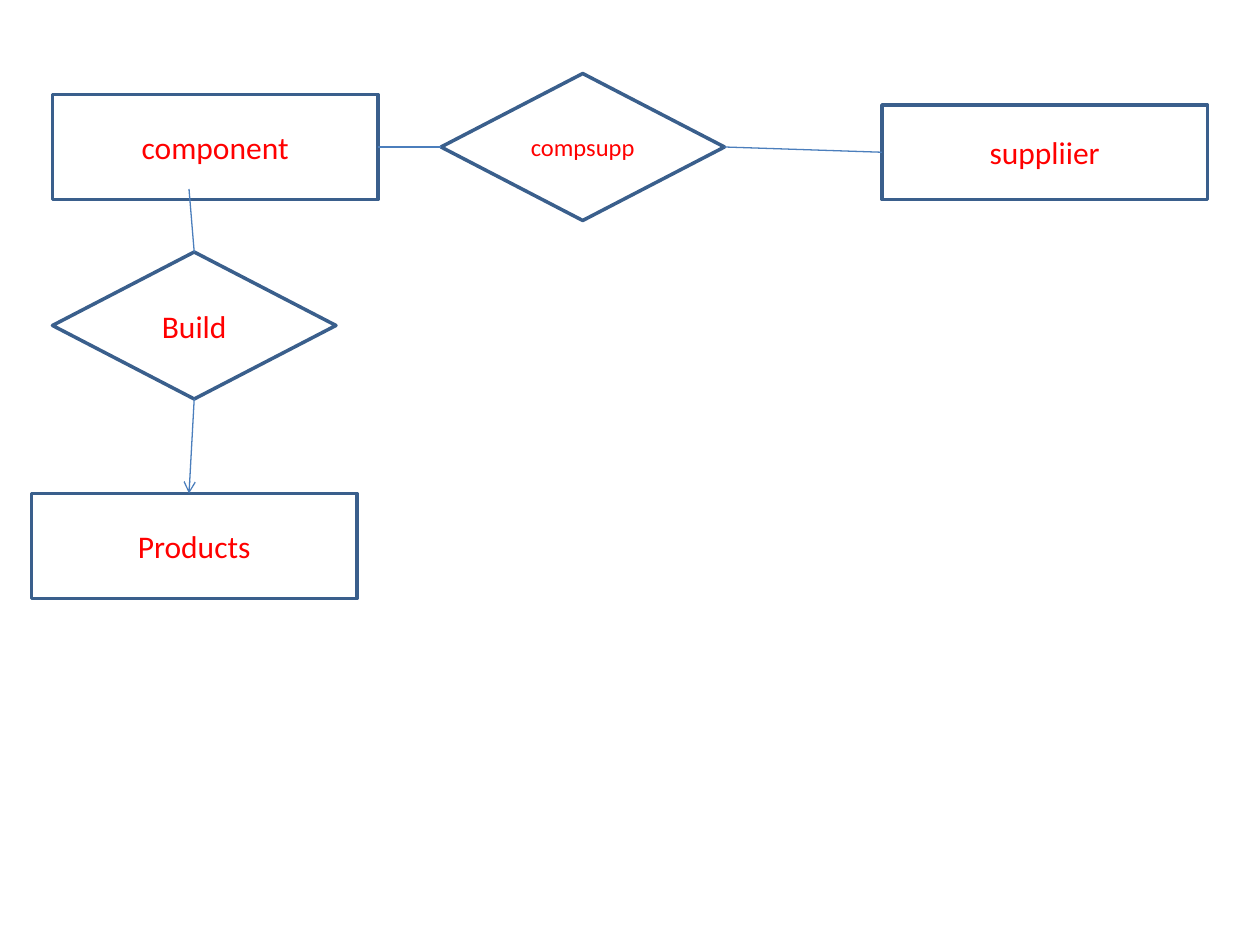
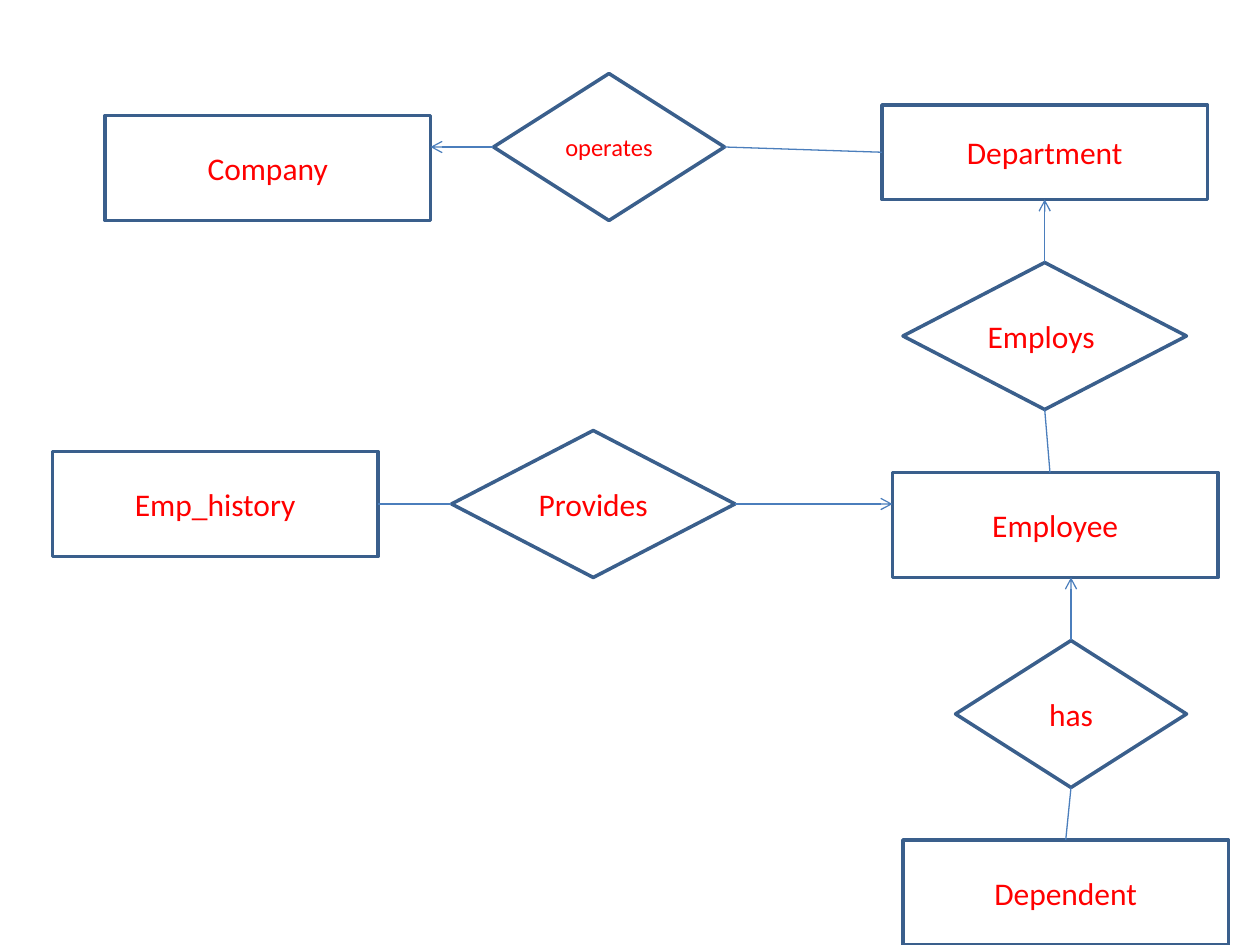
from dataclasses import dataclass

from lxml import etree
from pptx import Presentation
from pptx.dml.color import RGBColor
from pptx.enum.shapes import MSO_CONNECTOR, MSO_SHAPE
from pptx.enum.text import MSO_ANCHOR, PP_ALIGN
from pptx.oxml.ns import qn
from pptx.util import Pt

RECTANGLE = MSO_SHAPE.RECTANGLE
DIAMOND = MSO_SHAPE.FLOWCHART_DECISION
STRAIGHT = MSO_CONNECTOR.STRAIGHT
CENTER = PP_ALIGN.CENTER
MIDDLE = MSO_ANCHOR.MIDDLE
TOP, LEFT, BOTTOM, RIGHT = range(4)
BLANK_LAYOUT = 6


@dataclass(frozen=True)
class Theme:
    font: str = "Calibri"
    text: RGBColor = RGBColor(0xFF, 0x00, 0x00)
    outline: RGBColor = RGBColor(0x3A, 0x5F, 0x8C)
    link: RGBColor = RGBColor(0x4B, 0x7E, 0xBC)
    label_size: float = 18
    small_size: float = 14
    outline_width: float = 2
    link_width: float = 0.75


THEME = Theme()


def add_node(page, kind, label, left, top, width, height, size):
    box = page.shapes.add_shape(kind, Pt(left), Pt(top), Pt(width), Pt(height))
    box.shadow.inherit = False
    box.fill.background()
    box.line.color.rgb = THEME.outline
    box.line.width = Pt(THEME.outline_width)
    box.text_frame.vertical_anchor = MIDDLE
    para = box.text_frame.paragraphs[0]
    para.text = label
    para.alignment = CENTER
    para.font.name = THEME.font
    para.font.size = Pt(size)
    para.font.color.rgb = THEME.text
    return box


def add_entity(page, label, left, top, height=60):
    return add_node(page, RECTANGLE, label, left, top, 186, height, THEME.label_size)


def add_relation(page, label, left, top, width=162, size=THEME.label_size):
    return add_node(page, DIAMOND, label, left, top, width, 84, size)


def add_link(page, relation, side, arrow=False, entity=None, entity_side=None, point=(0, 0)):
    """Link a relation to the middle of an entity's side, or to a free point."""
    x, y = point
    link = page.shapes.add_connector(STRAIGHT, 0, 0, Pt(x), Pt(y))
    link.begin_connect(relation, side)
    if entity is not None:
        link.end_connect(entity, entity_side)
    link.line.color.rgb = THEME.link
    link.line.width = Pt(THEME.link_width)
    if arrow:
        etree.SubElement(link.line._get_or_add_ln(), qn("a:tailEnd"), type="arrow")
    etree.SubElement(link._element.spPr, qn("a:effectLst"))


def build_component_page(page):
    component = add_entity(page, "component", 30, 54)
    add_entity(page, "Products", 18, 282)
    supplier = add_entity(page, "suppliier", 504, 60, height=54)
    compsupp = add_relation(page, "compsupp", 252, 42, size=THEME.small_size)
    build = add_relation(page, "Build", 30, 144)

    add_link(page, compsupp, RIGHT, entity=supplier, entity_side=LEFT)
    add_link(page, compsupp, LEFT, entity=component, entity_side=RIGHT)
    add_link(page, build, TOP, point=(108, 108))
    add_link(page, build, BOTTOM, arrow=True, point=(108, 282))


def build_company_page(page):
    add_entity(page, "Company", 60, 66)
    history = add_entity(page, "Emp_history", 30, 258)
    dependent = add_entity(page, "Dependent", 516, 480)
    add_entity(page, "Employee", 510, 270)
    department = add_entity(page, "Department", 504, 60, height=54)
    operates = add_relation(page, "operates ", 282, 42, width=132, size=THEME.small_size)
    has = add_relation(page, "has", 546, 366, width=132)
    employs = add_relation(page, "Employs ", 516, 150)
    provides = add_relation(page, "Provides", 258, 246)

    add_link(page, operates, RIGHT, entity=department, entity_side=LEFT)
    add_link(page, operates, LEFT, arrow=True, point=(246, 84))
    add_link(page, employs, TOP, arrow=True, entity=department, entity_side=BOTTOM)
    add_link(page, employs, BOTTOM, point=(600, 270))
    add_link(page, provides, LEFT, entity=history, entity_side=RIGHT)
    add_link(page, provides, RIGHT, arrow=True, point=(510, 288))
    add_link(page, has, TOP, arrow=True, point=(612, 330))
    add_link(page, has, BOTTOM, entity=dependent, entity_side=TOP)


def main():
    deck = Presentation()
    deck.slide_width, deck.slide_height = Pt(720), Pt(540)
    for build_page in (build_component_page, build_company_page):
        build_page(deck.slides.add_slide(deck.slide_layouts[BLANK_LAYOUT]))
    deck.save("out.pptx")


if __name__ == "__main__":
    main()
